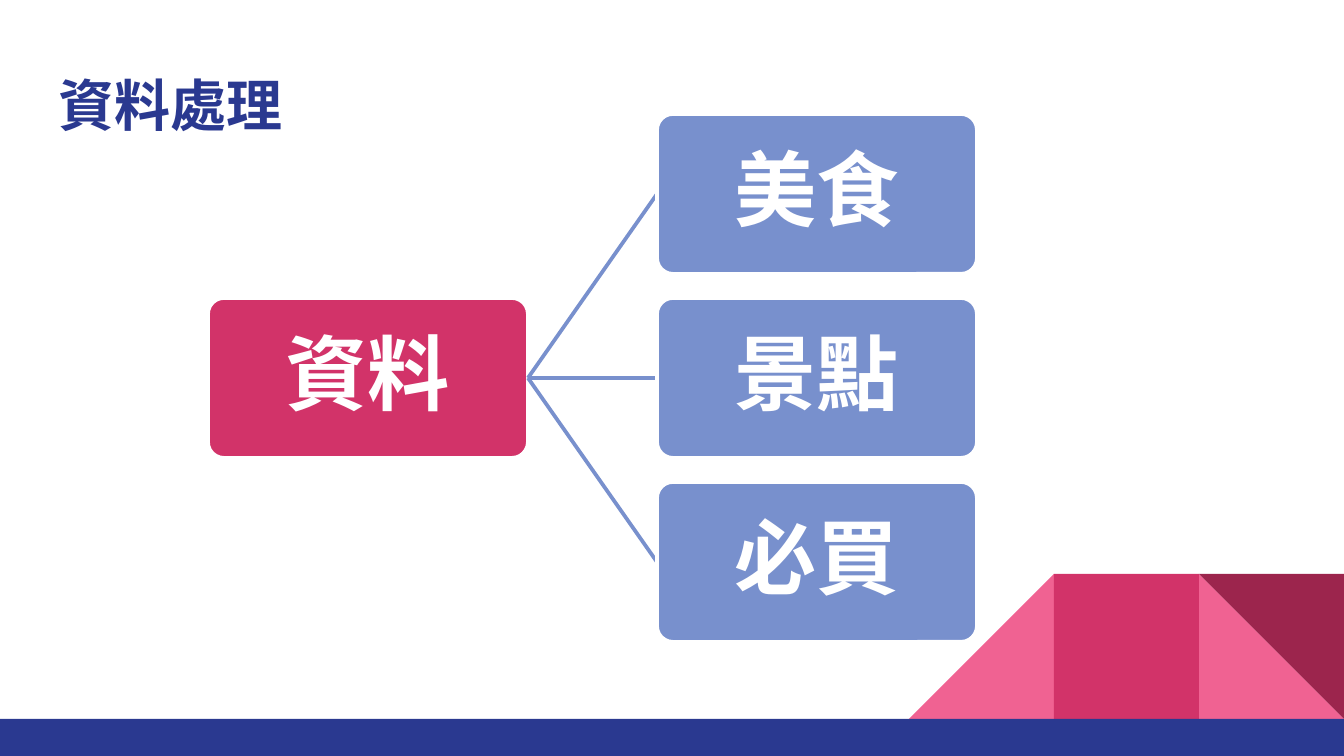
from pptx import Presentation
from pptx import util as u
from pptx.dml.color import RGBColor
from pptx.enum import shapes, text
from pptx.oxml.ns import qn

PX = u.Inches(10) / 1344
NAVY, BLUE, WHITE = "2A3990", "7890CD", "FFFFFF"
PINK, CRIMSON, WINE = "F06292", "D23369", "9C254D"

BOX_W, BOX_H, BOX_PITCH = 320, 160, 184
ROOT_LEFT, BRANCH_LEFT, BRANCH_TOP = 208, 657, 114
TILE, TILE_LEFT, BAR_TOP = 145, 909, 719


def px(n):
    return u.Emu(round(n * PX))


def color(hex_code):
    return RGBColor.from_string(hex_code)


def add_block(slide, preset, left, top, width, height, fill):
    block = slide.shapes.add_shape(preset, px(left), px(top), px(width), px(height))
    block.shadow.inherit = False
    block.fill.solid()
    block.fill.fore_color.rgb = color(fill)
    block.line.fill.background()
    return block


def write(frame, words, size, hex_code, font, inset):
    frame.word_wrap = True
    frame.vertical_anchor = text.MSO_ANCHOR.MIDDLE
    frame.margin_left = frame.margin_right = px(inset)
    frame.margin_top = frame.margin_bottom = px(inset)
    paragraph = frame.paragraphs[0]
    run = paragraph.add_run()
    run.text = words
    run.font.size = u.Pt(size)
    run.font.bold = True
    run.font.name = font
    run.font.color.rgb = color(hex_code)
    # Chinese characters take the East Asian typeface
    east_asian = run.font._element.makeelement(qn("a:ea"), {"typeface": font})
    run.font._element.find(qn("a:latin")).addnext(east_asian)
    return paragraph


def add_title(slide, words):
    title = slide.shapes.add_textbox(px(46), px(60), px(1252), px(89))
    paragraph = write(title.text_frame, words, 30, NAVY, "Noto Sans CJK TC", 13)
    paragraph.alignment = text.PP_ALIGN.LEFT


def add_node(slide, words, left, top, fill):
    node = add_block(slide, shapes.MSO_SHAPE.ROUNDED_RECTANGLE,
                     left, top, BOX_W, BOX_H, fill)
    node.adjustments[0] = 0.1
    node.line.color.rgb = color(WHITE)
    node.line.width = u.Pt(2)
    paragraph = write(node.text_frame, words, 44, WHITE, "Noto Sans CJK SC", 4)
    paragraph.alignment = text.PP_ALIGN.CENTER
    paragraph.line_spacing = 0.9


def add_link(slide, x1, y1, x2, y2):
    link = slide.shapes.add_connector(shapes.MSO_CONNECTOR.STRAIGHT,
                                      px(x1), px(y1), px(x2), px(y2))
    link.line.color.rgb = color(BLUE)
    link.line.width = u.Pt(2)
    properties = link._element.spPr
    properties.append(properties.makeelement(qn("a:effectLst"), {}))


def add_corner(slide):
    triangle, square = shapes.MSO_SHAPE.RIGHT_TRIANGLE, shapes.MSO_SHAPE.RECTANGLE
    top = BAR_TOP - TILE
    left, middle, right = (TILE_LEFT + i * TILE for i in range(3))
    add_block(slide, triangle, right, top, TILE, TILE, PINK)
    slope = add_block(slide, triangle, left, top, TILE, TILE, PINK)
    slope._element.spPr.find(qn("a:xfrm")).set("flipH", "1")
    add_block(slide, square, middle, top, TILE, TILE, CRIMSON)
    add_block(slide, triangle, right, top, TILE, TILE, WINE).rotation = 180
    add_block(slide, square, 0, BAR_TOP, 1344, 756 - BAR_TOP, NAVY)


def add_tree(slide, root, branches):
    root_top = BRANCH_TOP + BOX_PITCH * (len(branches) - 1) // 2
    add_node(slide, root, ROOT_LEFT, root_top, CRIMSON)
    for i, branch in enumerate(branches):
        top = BRANCH_TOP + i * BOX_PITCH
        add_link(slide, ROOT_LEFT + BOX_W, root_top + BOX_H // 2,
                 BRANCH_LEFT, top + BOX_H // 2)
        add_node(slide, branch, BRANCH_LEFT, top, BLUE)


def main():
    deck = Presentation()
    deck.slide_width, deck.slide_height = px(1344), px(756)
    slide = deck.slides.add_slide(deck.slide_layouts[6])

    # Corner decoration and footer bar
    add_corner(slide)

    # Title and tree of data topics
    add_title(slide, "資料處理")
    add_tree(slide, "資料", ["美食", "景點", "必買"])

    deck.save("out.pptx")


if __name__ == "__main__":
    main()
